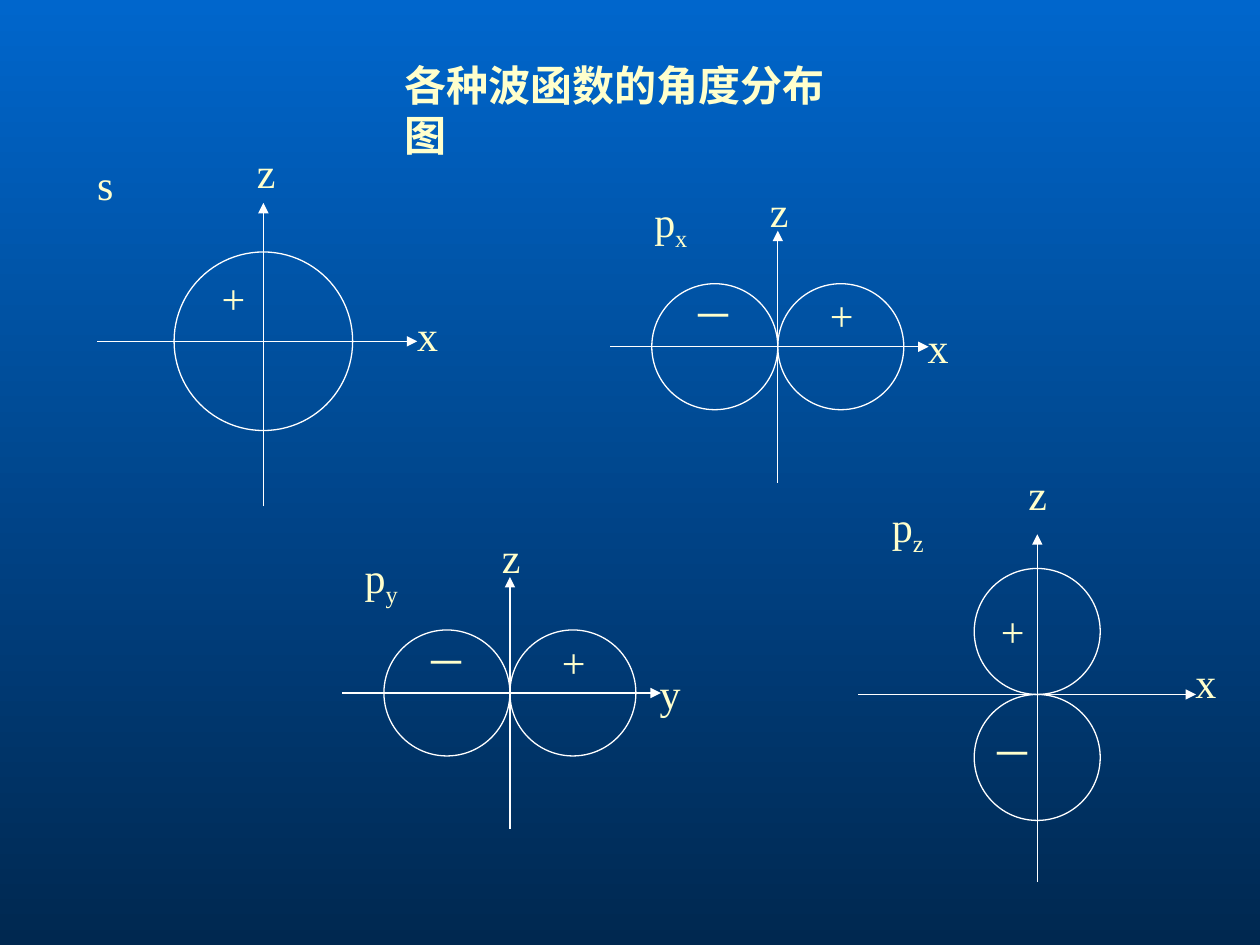
from lxml.etree import SubElement
from pptx import Presentation
from pptx.dml.color import RGBColor
from pptx.enum.shapes import MSO_CONNECTOR, MSO_SHAPE
from pptx.enum.text import MSO_ANCHOR, MSO_AUTO_SIZE, PP_ALIGN
from pptx.oxml.ns import qn
from pptx.util import Cm, Pt

COLORS = {"top": "0066CC", "bottom": "002850", "line": "FFFFFF", "text": "FFFFCC"}
FONT = "Times New Roman"
LOBE = 2.54
LETTER_WIDTH = 0.61


def color(name):
    return RGBColor.from_string(COLORS[name])


def write(frame, text, subscript="", bold=False, align=PP_ALIGN.LEFT, wrap=True,
          anchor=MSO_ANCHOR.TOP):
    frame.word_wrap = wrap
    frame.auto_size = MSO_AUTO_SIZE.SHAPE_TO_FIT_TEXT
    frame.vertical_anchor = anchor
    paragraph = frame.paragraphs[0]
    paragraph.alignment = align
    for part, baseline in ((text, None), (subscript, "-25000")):
        if not part:
            continue
        run = paragraph.add_run()
        run.text = part
        run.font.name = FONT
        run.font.size = Pt(24)
        run.font.bold = bold
        run.font.color.rgb = color("text")
        if baseline:
            run._r.get_or_add_rPr().set("baseline", baseline)


class Diagram:
    """A group whose parts are placed in cm from the corner of its axes box."""

    def __init__(self, slide, box):
        self.left, self.top, self.width, self.height = box
        self.shapes = slide.shapes.add_group_shape().shapes

    def at(self, x, y):
        return Cm(self.left + x), Cm(self.top + y)

    def label(self, x, y, text, width=LETTER_WIDTH, **style):
        height = 1.42 if style.get("subscript") else 1.27
        textbox = self.shapes.add_textbox(*self.at(x, y), Cm(width), Cm(height))
        write(textbox.text_frame, text, **style)

    def lobe(self, center_x, center_y, diameter=LOBE):
        corner = self.at(center_x - diameter / 2, center_y - diameter / 2)
        circle = self.shapes.add_shape(MSO_SHAPE.OVAL, *corner, Cm(diameter), Cm(diameter))
        circle.shadow.inherit = False
        circle.fill.background()
        circle.line.color.rgb = color("line")
        circle.line.width = Pt(0.75)

    def arrow(self, start, end):
        axis = self.shapes.add_connector(MSO_CONNECTOR.STRAIGHT, *self.at(*start), *self.at(*end))
        axis.line.color.rgb = color("line")
        axis.line.width = Pt(0.75)
        SubElement(axis.line._get_or_add_ln(), qn("a:tailEnd"), type="triangle")
        SubElement(axis._element.spPr, qn("a:effectLst"))

    def axes(self, origin_x, origin_y):
        self.arrow((origin_x, self.height), (origin_x, 0))
        self.arrow((0, origin_y), (self.width, origin_y))


def draw_s(slide, box):
    diagram = Diagram(slide, box)
    origin = (3.35, 2.79)
    diagram.lobe(*origin, diameter=3.6)
    diagram.axes(*origin)
    diagram.label(2.97, -1.27, "z")
    diagram.label(6.2, 2.03, "x")
    diagram.label(2.26, 1.27, "+")
    diagram.label(-0.25, -1.02, "s", width=1.04)


def draw_horizontal_p(slide, box, axis_name, name_at):
    diagram = Diagram(slide, box)
    x, y = 3.38, 2.34
    for side in (-1, 1):
        diagram.lobe(x + side * LOBE / 2, y)
    diagram.axes(x, y)
    diagram.label(2.97, -1.04, "z")
    diagram.label(6.15, 1.7, axis_name)
    diagram.label(1.42, 1.07, "－", width=1.45)
    diagram.label(4.18, 1.07, "+", width=1.04)
    diagram.label(*name_at, "p", subscript=axis_name, width=1.5)


def draw_pz(slide, box):
    diagram = Diagram(slide, box)
    x, y = 3.61, 3.23
    for side in (-1, 1):
        diagram.lobe(x, y + side * LOBE / 2)
    diagram.axes(x, y)
    diagram.label(3.18, -1.45, "z")
    diagram.label(6.55, 2.34, "x")
    sign_style = {"align": PP_ALIGN.CENTER, "wrap": False, "anchor": MSO_ANCHOR.MIDDLE}
    diagram.label(2.62, 1.3, "+", width=0.99, **sign_style)
    diagram.label(2.44, 3.76, "－", width=1.35, **sign_style)
    diagram.label(0.43, -0.81, "p", subscript="z", width=1.47)


def draw_title(slide, box):
    title = slide.shapes.title
    title.left, title.top, title.width, title.height = map(Cm, box)
    write(title.text_frame, "各种波函数的角度分布图", bold=True, wrap=False)


def paint_background(slide):
    fill = slide.background.fill
    fill.gradient()
    fill.gradient_angle = 270
    for stop, name, position in zip(fill.gradient_stops, ("top", "bottom"), (0, 1)):
        stop.color.rgb = color(name)
        stop.position = position


def main():
    presentation = Presentation()
    presentation.slide_width, presentation.slide_height = Cm(25.4), Cm(19.05)
    slide = presentation.slides.add_slide(presentation.slide_layouts[5])
    paint_background(slide)
    draw_title(slide, (7.9, 1.07, 9.8, 1.27))
    draw_s(slide, (1.96, 4.09, 6.45, 6.12))
    draw_horizontal_p(slide, (12.3, 4.65, 6.42, 5.08), "x", name_at=(0.64, -0.84))
    draw_horizontal_p(slide, (6.9, 11.63, 6.42, 5.08), "y", name_at=(0.2, -0.64))
    draw_pz(slide, (17.3, 10.77, 6.81, 7.01))
    presentation.save("out.pptx")


if __name__ == "__main__":
    main()
